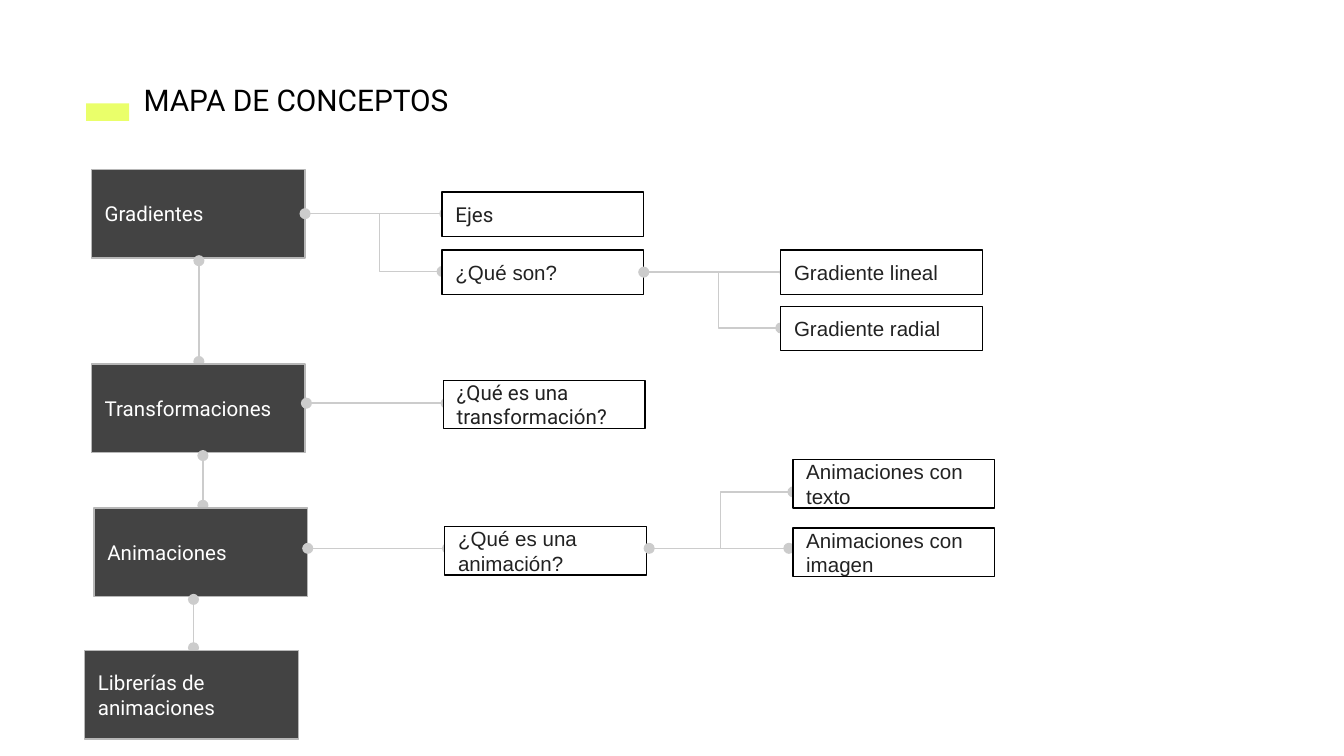
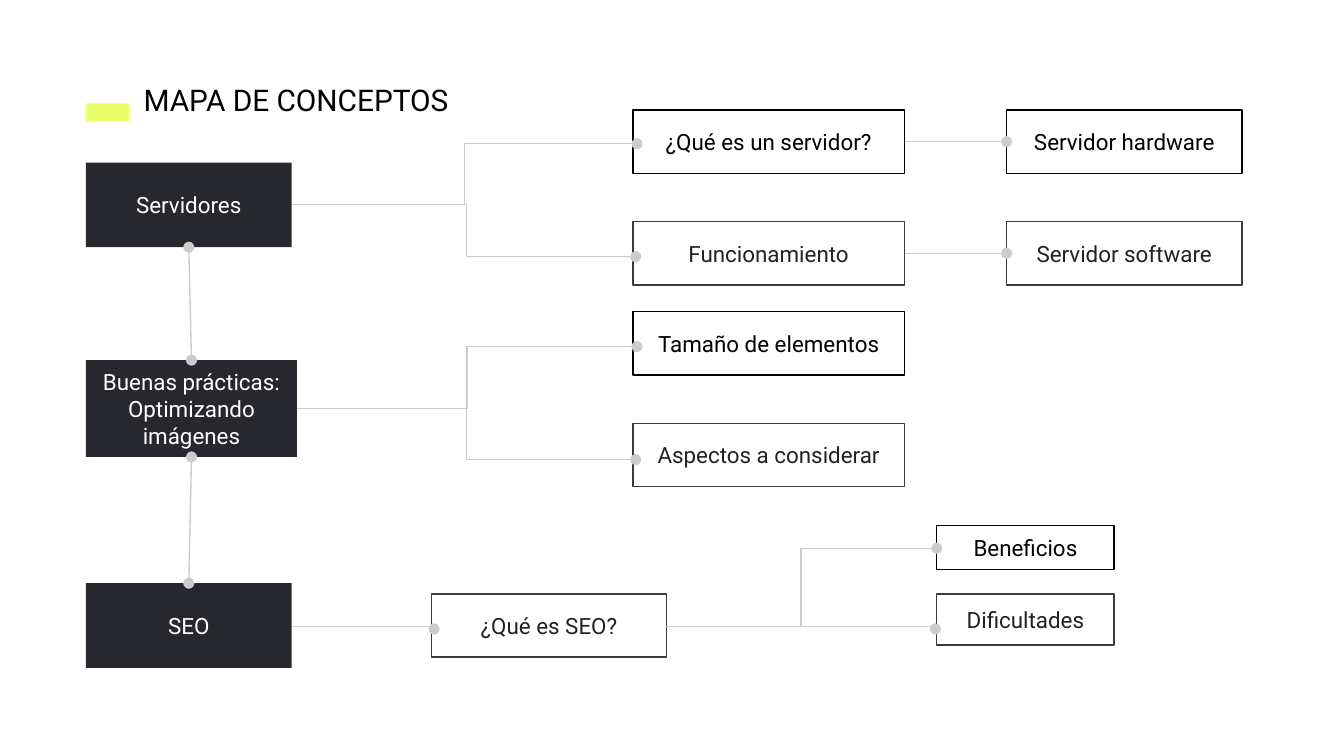
from lxml import etree
from pptx import Presentation
from pptx import util as u
from pptx.dml import color
from pptx.enum import shapes, text
from pptx.oxml import ns

C = {
    "accent": "EAFF6A", "black": "000000", "white": "FFFFFF", "ink": "222222",
    "gray": "434343", "gray_edge": "B7B7B7", "night": "27282D",
    "slate": "393B43", "link": "CCCCCC",
}
RGB = {name: color.RGBColor.from_string(value) for name, value in C.items()}

prs = Presentation()
prs.slide_width, prs.slide_height = u.Inches(10), u.Inches(5.625)
CELL = prs.slide_width / 100  # square grid, 100 columns wide
STRAIGHT = shapes.MSO_CONNECTOR.STRAIGHT
ELBOW = shapes.MSO_CONNECTOR.ELBOW
LEFT, CENTER = text.PP_ALIGN.LEFT, text.PP_ALIGN.CENTER
TOP, WEST, BOTTOM, EAST = range(4)


def box(s, label, at, fill, edge, ink, size, font="Roboto", align=LEFT):
    """Add a labelled rectangle; at is left, top, width, height in grid cells."""
    sp = s.shapes.add_shape(shapes.MSO_SHAPE.RECTANGLE, *[round(v * CELL) for v in at])
    sp.shadow.inherit = False
    if fill:
        sp.fill.solid()
        sp.fill.fore_color.rgb = RGB[fill]
    else:
        sp.fill.background()
    if edge:
        sp.line.color.rgb = RGB[edge]
        sp.line.width = u.Pt(0.75)
    else:
        sp.line.fill.background()
    if label:
        tf = sp.text_frame
        tf.text = label
        tf.word_wrap = True
        tf.vertical_anchor = text.MSO_ANCHOR.MIDDLE
        tf.margin_left = tf.margin_right = tf.margin_top = tf.margin_bottom = round(CELL)
        p = tf.paragraphs[0]
        p.alignment = align
        r = p.runs[0]
        r.font.name, r.font.size, r.font.color.rgb = font, u.Pt(size), RGB[ink]
    return sp


def link(s, start, end, kind=STRAIGHT, head=True, bend=0.5):
    """Join two ends, each a grid point or a (shape, side) pair."""
    points = [(0, 0) if hasattr(e[0], "shape_id") else e for e in (start, end)]
    c = s.shapes.add_connector(kind, *[round(v * CELL) for pt in points for v in pt])
    for e, connect in ((start, c.begin_connect), (end, c.end_connect)):
        if hasattr(e[0], "shape_id"):
            connect(*e)
    c.line.color.rgb = RGB["link"]
    c.line.width = u.Pt(0.75)
    props = c.element.spPr
    ln = props.find(ns.qn("a:ln"))
    for tag in ("a:headEnd", "a:tailEnd") if head else ("a:tailEnd",):
        etree.SubElement(ln, ns.qn(tag), type="oval")
    etree.SubElement(props, ns.qn("a:effectLst"))
    if bend != 0.5:
        guides = props.find(ns.qn("a:prstGeom")).find(ns.qn("a:avLst"))
        etree.SubElement(guides, ns.qn("a:gd"), name="adj1", fmla=f"val {round(bend * 100000)}")


# Both slides share the marker and the title
slides = []
for _ in range(2):
    s = prs.slides.add_slide(prs.slide_layouts[6])
    box(s, "", (6.4, 7.7, 3.2, 1.3), "accent", None, None, 0)
    title = s.shapes.add_textbox(*[round(v * CELL) for v in (9.7, 5.1, 26.9, 4.7)])
    tf = title.text_frame
    tf.text = "MAPA DE CONCEPTOS"
    tf.word_wrap = True
    tf.auto_size = text.MSO_AUTO_SIZE.SHAPE_TO_FIT_TEXT
    tf.margin_left = tf.margin_right = tf.margin_top = tf.margin_bottom = round(CELL)
    r = tf.paragraphs[0].runs[0]
    r.font.name, r.font.size, r.font.color.rgb = "Roboto", u.Pt(16), RGB["black"]
    slides.append(s)

# Slide 1: topics down the left, each level to the right covers its incoming links
s = slides[0]
nodes = {}
spine = [
    ("Gradientes", 6.8, 12.6, None),
    ("Transformaciones", 6.8, 27.1, 14.8),
    ("Animaciones", 7, 37.8, 15.1),
    ("Librerías de animaciones", 6.3, 48.4, 14.4),
]
above = None
for label, x, y, link_x in spine:
    if link_x:
        link(s, (link_x, above + 6.8), (link_x, y - 0.2))
    nodes[label] = box(s, label, (x, y, 15.9, 6.6), "gray", "gray_edge", "white", 11)
    above = y

link(s, (nodes["Gradientes"], EAST), (33.1, 15.9))
link(s, (23.6, 15.9), (32.9, 20.2), ELBOW, head=False)
link(s, (22.8, 30), (33.2, 30))
link(s, (22.9, 40.8), (33.3, 40.8))
questions = [
    ("Ejes", 32.9, 14.3, 3.3, "Roboto"),
    ("¿Qué son?", 32.9, 18.6, 3.3, "Arial"),
    ("¿Qué es una transformación?", 33, 28.3, 3.6, "Roboto"),
    ("¿Qué es una animación?", 33.1, 39.2, 3.6, "Arial"),
]
for label, x, y, h, font in questions:
    nodes[label] = box(s, label, (x, y, 15, h), "white", "black", "ink", 11, font)

link(s, (nodes["¿Qué son?"], EAST), (58.4, 20.25))
link(s, (48.8, 20.2), (58.1, 24.4), ELBOW, head=False)
link(s, (48.3, 40.8), (58.7, 40.8))
link(s, (48.2, 40.8), (59, 36.6), ELBOW, head=False)
details = [
    ("Gradiente lineal", 58.1, 18.6, 3.3),
    ("Gradiente radial", 58.1, 22.8, 3.3),
    ("Animaciones con texto", 59, 34.2, 3.6),
    ("Animaciones con imagen", 59, 39.3, 3.6),
]
for label, x, y, h in details:
    box(s, label, (x, y, 15, h), "white", "black", "ink", 11, "Arial")

# Slide 2: centred boxes first, links on top
s = slides[1]
nodes = {}
topics = [
    ("Servidores", 12.1, 15.3, 6.3),
    ("Buenas prácticas: Optimizando imágenes", 26.8, 15.7, 7.2),
    ("SEO", 43.4, 15.3, 6.3),
]
for label, y, w, h in topics:
    nodes[label] = box(s, label, (6.4, y, w, h), "night", None, "white", 12, align=CENTER)

black, slate = ("black", "black"), ("slate", "ink")
answers = [
    ("¿Qué es un servidor?", (47.1, 8.2, 20.2, 4.7), black),
    ("Funcionamiento", (47.1, 16.5, 20.2, 4.7), slate),
    ("Tamaño de elementos", (47.1, 23.2, 20.2, 4.7), black),
    ("Aspectos a considerar", (47.1, 31.5, 20.2, 4.7), slate),
    ("Servidor hardware", (74.9, 8.2, 17.5, 4.7), black),
    ("Servidor software", (74.9, 16.5, 17.5, 4.7), slate),
    ("¿Qué es SEO?", (32.1, 44.2, 17.5, 4.7), slate),
    ("Beneficios", (69.7, 39.1, 13.2, 3.3), black),
    ("Dificultades", (69.7, 44.2, 13.2, 3.8), slate),
]
for label, at, (edge, ink) in answers:
    nodes[label] = box(s, label, at, None, edge, ink, 12, align=CENTER)

practices = nodes["Buenas prácticas: Optimizando imágenes"]
link(s, (practices, BOTTOM), (nodes["SEO"], TOP))
link(s, (practices, TOP), (nodes["Servidores"], BOTTOM))
for source, target in (("¿Qué es un servidor?", "Servidor hardware"),
                       ("Funcionamiento", "Servidor software")):
    link(s, (nodes[source], EAST), (nodes[target], WEST), head=False)

elbows = [
    ((21.7, 15.2), (47.4, 10.7), 0.5),
    ((22.1, 15.2), (47.3, 19.1), 0.5),
    ((22.1, 30.4), (47.4, 25.8), 0.5),
    ((22.1, 30.4), (47.3, 34.2), 0.5),
    ((21.7, 46.6), (32.3, 46.8), 1.01),
    ((49.5, 46.6), (69.7, 40.8), 0.5),
    ((59.1, 46.6), (69.6, 46.8), 1.01),
]
for start, end, bend in elbows:
    link(s, start, end, ELBOW, head=False, bend=bend)

prs.save("out.pptx")
